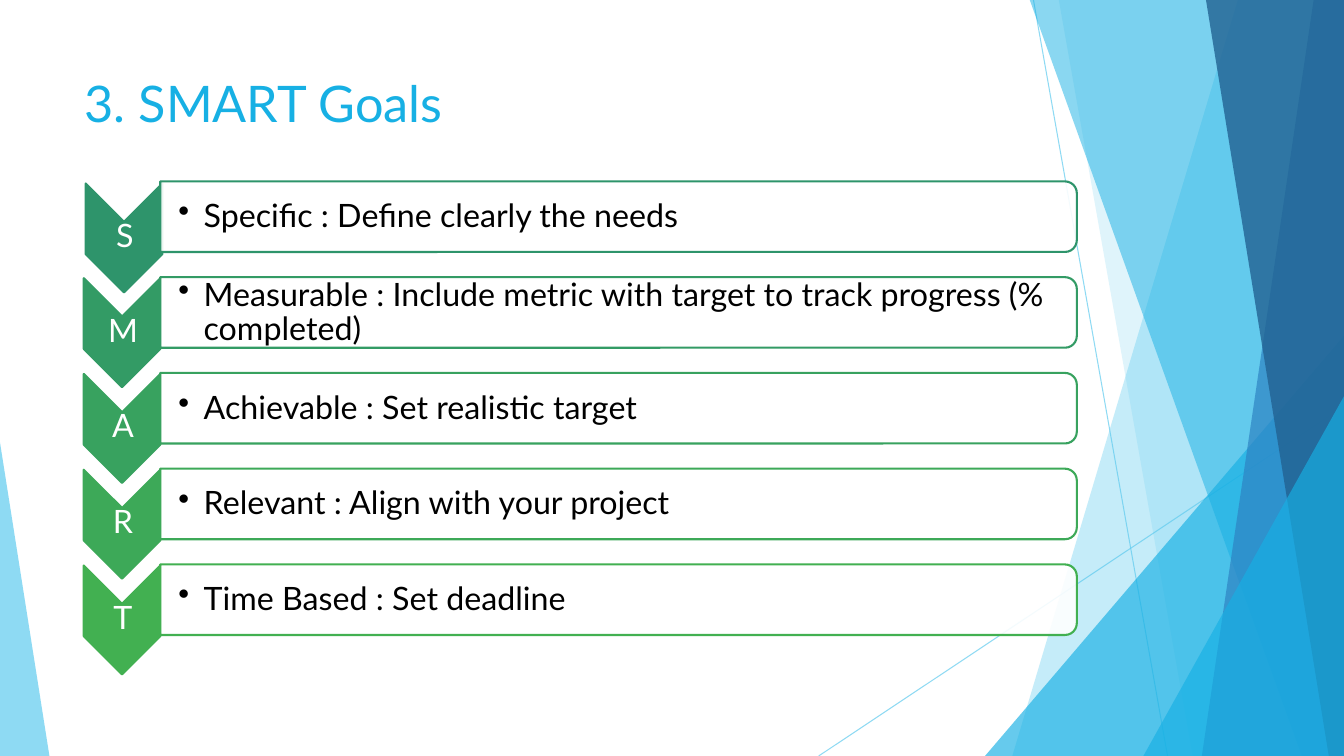
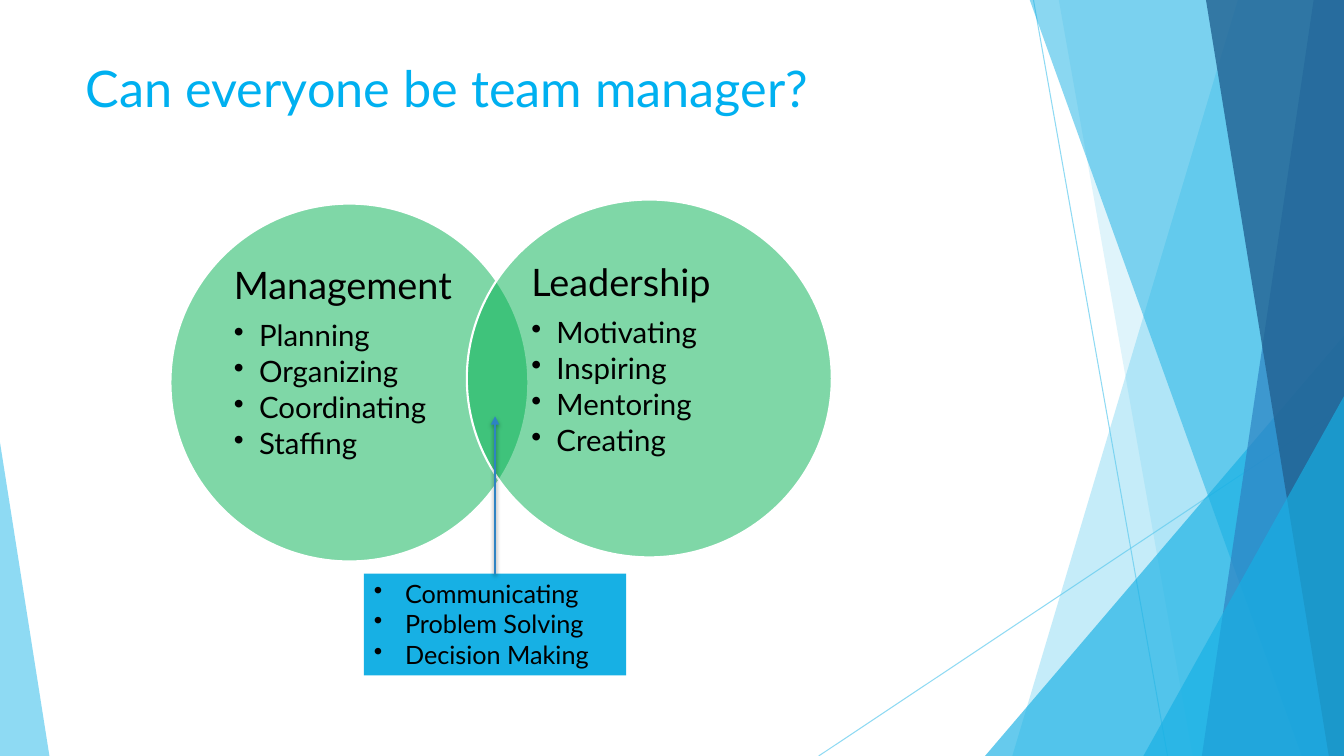
from lxml import etree
from pptx import Presentation
from pptx.dml.color import RGBColor
from pptx.enum.shapes import MSO_CONNECTOR as CONN, MSO_SHAPE as SHAPE
from pptx.enum.text import MSO_ANCHOR as ANCHOR, MSO_AUTO_SIZE as AUTO, PP_ALIGN as ALIGN
from pptx.oxml.ns import qn
from pptx.util import Emu, Pt

PX = 9144  # 100 px to the inch
SLIDE_W, SLIDE_H = 1333, 750
FONT = "Lato"

BLACK = RGBColor(0x00, 0x00, 0x00)
WHITE = RGBColor(0xFF, 0xFF, 0xFF)
SKY = RGBColor(0x5F, 0xCB, 0xEF)
CYAN = RGBColor(0x17, 0xB0, 0xE4)
BRIGHT_CYAN = RGBColor(0x00, 0xB0, 0xF0)
BLUE = RGBColor(0x2E, 0x83, 0xC3)
NAVY = RGBColor(0x22, 0x62, 0x92)
GREEN = RGBColor(0x00, 0xB0, 0x50)

GOALS = [
    ("S", "Specific : Define clearly the needs", RGBColor(0x2E, 0x94, 0x6B)),
    ("M", "Measurable : Include metric with target to track progress (% completed)",
     RGBColor(0x33, 0x9B, 0x65)),
    ("A", "Achievable : Set realistic target", RGBColor(0x38, 0xA2, 0x5F)),
    ("R", "Relevant : Align with your project", RGBColor(0x3D, 0xA9, 0x58)),
    ("T", "Time Based : Set deadline", RGBColor(0x42, 0xB0, 0x51)),
]
GOAL_PITCH = 95


def px(n):
    return Emu(round(n * PX))


def box(x, y, w, h):
    return px(x), px(y), px(w), px(h)


# Formatting
def fade(shape, percent):
    """Make the shape's first colour (fill, or line if unfilled) partly opaque."""
    colour = next(shape.element.spPr.iter(qn("a:srgbClr")))
    etree.SubElement(colour, qn("a:alpha"), val=str(percent * 1000))


def paint(shape, fill, opacity=100, line=None):
    shape.shadow.inherit = False
    shape.fill.solid()
    shape.fill.fore_color.rgb = fill
    if opacity < 100:
        fade(shape, opacity)
    if line is None:
        shape.line.fill.background()
    else:
        shape.line.color.rgb = line
        shape.line.width = Pt(1.5)
    return shape


def add_line(shapes, start, end, colour, width):
    c = shapes.add_connector(CONN.STRAIGHT, *map(px, start + end))
    c.line.color.rgb = colour
    c.line.width = Pt(width)
    effects = etree.SubElement(c.element.spPr, qn("a:effectLst"))
    return c, effects


def add_shape(shapes, kind, frame, fill, opacity=100, line=None):
    return paint(shapes.add_shape(kind, *box(*frame)), fill, opacity, line)


def add_turned(shapes, kind, frame, fill, opacity, line):
    """Add a shape turned a quarter clockwise that covers the given frame."""
    x, y, w, h = frame
    shift = (w - h) / 2
    shape = add_shape(shapes, kind, (x + shift, y - shift, h, w), fill, opacity, line)
    shape.rotation = 90
    return shape


# Text
def add_run(p, text, size, colour):
    r = p.add_run()
    r.text = text
    r.font.name = FONT
    r.font.size = Pt(size)
    r.font.color.rgb = colour


def add_paragraph(tf, text, size, colour=BLACK, indent=0, spacing=0.9, after=0,
                  align=ALIGN.LEFT):
    """Add a paragraph; an indent gives it a bullet."""
    p = tf.paragraphs[0]
    if p.runs:
        p = tf.add_paragraph()
    p.alignment = align
    p.line_spacing = spacing
    p.space_after = Pt(after)
    if indent:
        pPr = p._p.get_or_add_pPr()
        pPr.set("marL", str(px(indent)))
        pPr.set("indent", str(-px(indent)))
        etree.SubElement(pPr, qn("a:buChar"), char="•")
    add_run(p, text, size, colour)


def add_text(s, frame, margins, anchor):
    tf = s.shapes.add_textbox(*box(*frame)).text_frame
    tf.word_wrap = True
    tf.vertical_anchor = anchor
    tf.margin_left, tf.margin_top, tf.margin_right, tf.margin_bottom = map(px, margins)
    return tf


def add_titled_slide(prs, layout, text, frame, colour):
    s = prs.slides.add_slide(layout)
    title = s.shapes.title
    title.left, title.top, title.width, title.height = box(*frame)
    tf = title.text_frame
    tf.auto_size = AUTO.NONE
    tf.vertical_anchor = ANCHOR.TOP
    p = tf.paragraphs[0]
    p.alignment = ALIGN.LEFT
    add_run(p, text, 36, colour)
    return s


# Shared backdrop
def add_band(shapes, top_x, bottom_x, colour, opacity):
    """Fill from a slanting edge to the right side of the slide."""
    outline = shapes.build_freeform(top_x, -1, scale=PX)
    outline.add_line_segments(
        [(SLIDE_W, -1), (SLIDE_W, SLIDE_H), (bottom_x, SLIDE_H)], close=True)
    paint(outline.convert_to_shape(), colour, opacity)


def add_corner(shapes, x, y, w, peak, colour, opacity):
    """Add a triangle that stands on the bottom edge of the slide."""
    t = add_shape(shapes, SHAPE.ISOSCELES_TRIANGLE, (x, y, w, SLIDE_H - y), colour, opacity)
    t.adjustments[0] = peak


def add_backdrop(s, layout):
    """Draw the facets and move them to the layout, behind its placeholders."""
    group = s.shapes.add_group_shape()
    shapes = group.shapes
    for start, end in [((1025, 0), (1158, 750)), ((1333, 403), (812, 750))]:
        c, _ = add_line(shapes, start, end, SKY, 0.75)
        fade(c, 70)
    add_band(shapes, 1228, 1004, SKY, 36)
    add_band(shapes, 1050, 1183, SKY, 20)
    add_corner(shapes, 977, 333, 356, 1.0, CYAN, 66)
    add_band(shapes, 1021, 1291, CYAN, 50)
    add_band(shapes, 1303, 1192, BLUE, 70)
    add_band(shapes, 1196, 1318, NAVY, 80)
    add_corner(shapes, 1134, 393, 199, 1.0, CYAN, 66)
    add_corner(shapes, 0, 439, 49, 0.0, SKY, 70)
    for number, props in enumerate(group.element.iter(qn("p:cNvPr")), 100):
        props.set("id", str(number))
    layout.shapes.element.insert(2, group.element)


# Slide content
def add_goal(s, row, letter, text, colour):
    top = row * GOAL_PITCH
    dx, dy = (2, 1) if row == 0 else (0, 0)  # the first chevron sits slightly off
    add_turned(s.shapes, SHAPE.CHEVRON, (83 + dx, 181 + top + dy, 76, 108),
               colour, 100, colour)
    tf = add_text(s, (84 + dx, 218 + top + dy, 76, 32), (2, 2, 2, 2), ANCHOR.MIDDLE)
    add_paragraph(tf, letter, 23, WHITE, align=ALIGN.CENTER)
    add_turned(s.shapes, SHAPE.ROUND_2_SAME_RECTANGLE, (159, 180 + top, 909, 70),
               WHITE, 90, colour)
    tf = add_text(s, (159, 184 + top, 905, 63), (18, 2, 2, 2), ANCHOR.MIDDLE)
    add_paragraph(tf, text, 23, indent=25)


def add_circle(s, frame, text_frame, heading, items):
    add_shape(s.shapes, SHAPE.OVAL, frame, GREEN, 50, WHITE)
    tf = add_text(s, text_frame, (11, 11, 11, 11), ANCHOR.TOP)
    add_paragraph(tf, heading, 27, after=9.5)
    for item in items:
        add_paragraph(tf, item, 21, indent=25, after=3)


def add_shared_skills(s, items):
    rect = add_shape(s.shapes, SHAPE.RECTANGLE, (361, 569, 260, 101), CYAN)
    tf = rect.text_frame
    tf.word_wrap = True
    tf.vertical_anchor = ANCHOR.TOP
    for item in items:
        add_paragraph(tf, item, 18, indent=31, spacing=1.0)

    # Arrow up into the overlap, with a soft shadow
    arrow, effects = add_line(s.shapes, (491, 569), (491, 413), BLUE, 2)
    arrow.begin_connect(rect, 0)
    etree.SubElement(arrow.line._get_or_add_ln(), qn("a:tailEnd"), type="triangle")
    shadow = etree.SubElement(effects, qn("a:outerShdw"), blurRad=str(Pt(3)),
                              dist=str(Pt(2)), dir="5400000", rotWithShape="0")
    colour = etree.SubElement(shadow, qn("a:srgbClr"), val=str(BLACK))
    etree.SubElement(colour, qn("a:alpha"), val="35000")


def main():
    prs = Presentation()
    prs.slide_width, prs.slide_height = px(SLIDE_W), px(SLIDE_H)
    layout = prs.slide_layouts[5]

    # SMART goals
    s = add_titled_slide(prs, layout, "3. SMART Goals", (74, 67, 940, 82), CYAN)
    add_backdrop(s, layout)
    for row, goal in enumerate(GOALS):
        add_goal(s, row, *goal)

    # Management and leadership
    s = add_titled_slide(prs, layout, "Can everyone be team manager?",
                         (75, 52, 940, 76), BRIGHT_CYAN)
    add_circle(s, (169, 202, 355, 355), (221, 254, 251, 251), "Management",
               ["Planning", "Organizing", "Coordinating", "Staffing"])
    add_circle(s, (463, 198, 362, 355), (516, 251, 256, 251), "Leadership",
               ["Motivating", "Inspiring", "Mentoring", "Creating"])
    add_shared_skills(s, ["Communicating", "Problem Solving", "Decision Making"])

    prs.save("out.pptx")


if __name__ == "__main__":
    main()
